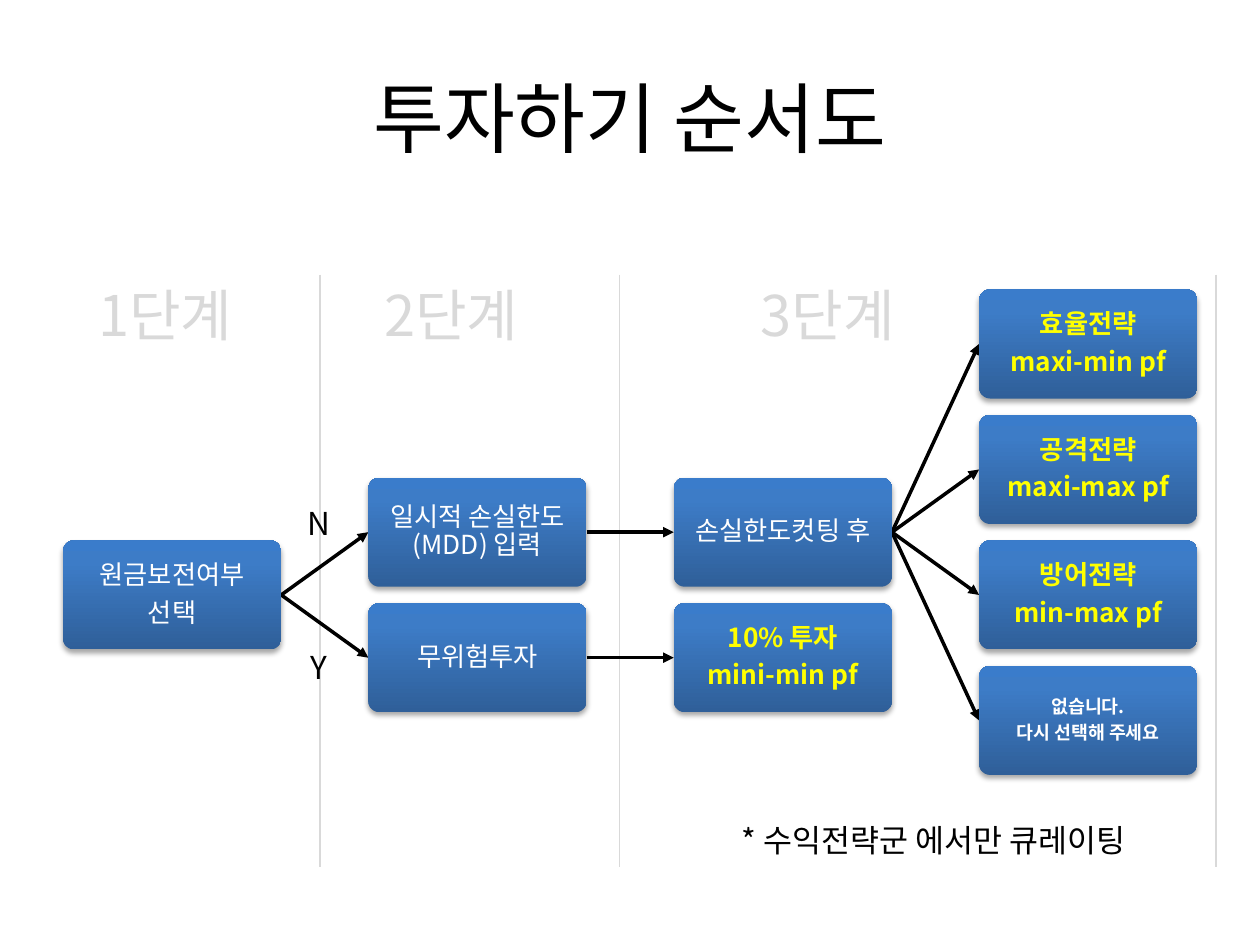
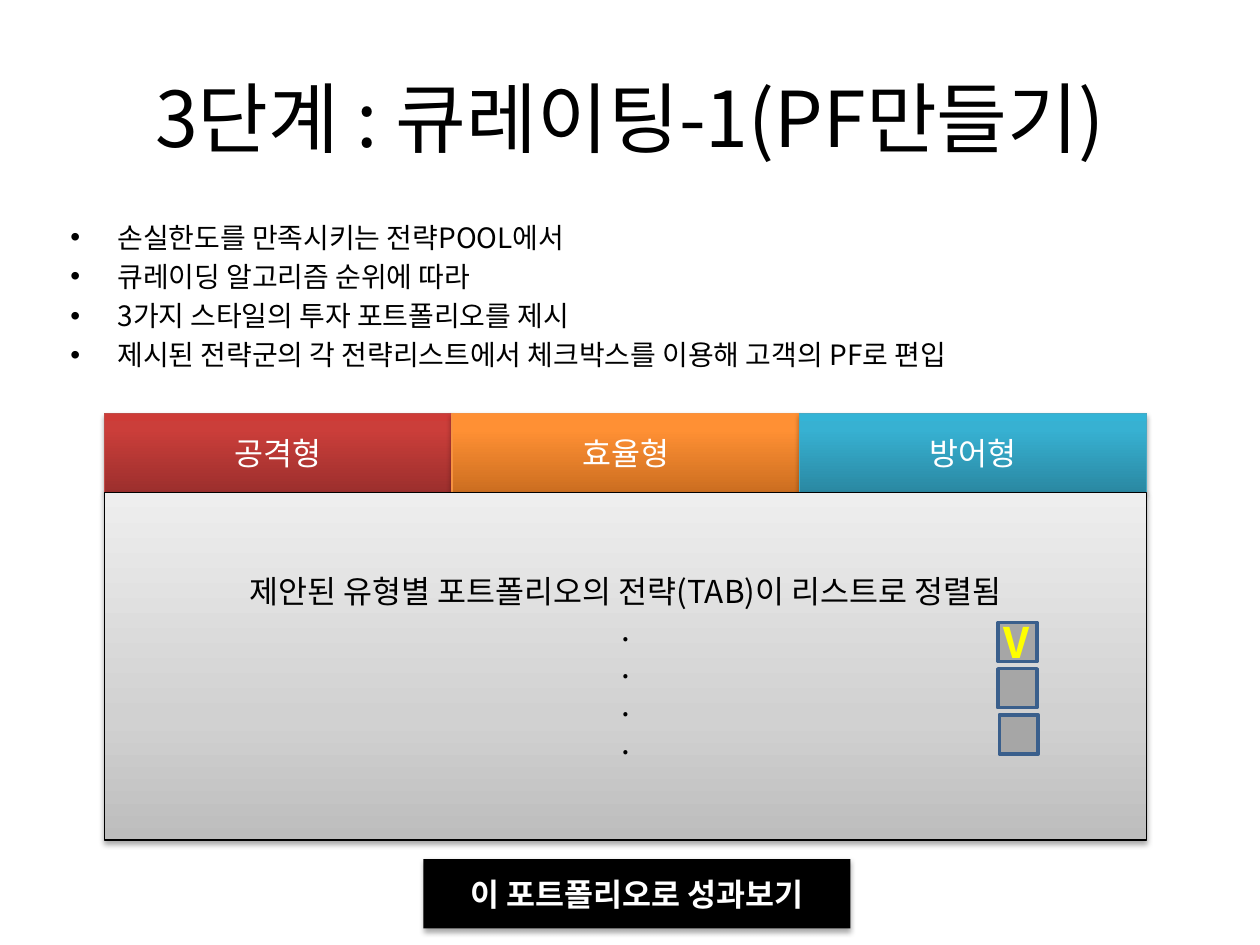
"""Builds two slides: an investment flowchart and a portfolio selection screen."""
import pptx
import pptx.dml.color
import pptx.enum.shapes
import pptx.enum.text
import pptx.oxml.ns
import pptx.oxml.xmlchemy
import pptx.util

Pt = pptx.util.Pt
qn = pptx.oxml.ns.qn
SHAPES = pptx.enum.shapes.MSO_SHAPE
ALIGN = pptx.enum.text.PP_ALIGN
ANCHOR = pptx.enum.text.MSO_ANCHOR

FONT = "Noto Sans CJK KR"
COLORS = {
    "black": "000000", "white": "FFFFFF", "yellow": "FFFF00",
    "pale": "D9D9D9", "check": "A6A6A6", "check_line": "3A5F8C",
    "red_line": "BF4C48", "orange_line": "F69240", "teal_line": "46AAC5",
}
GRADIENTS = {  # stops from bottom to top
    "blue": [(0, "2F5F99"), (80, "3D7CC7"), (100, "3A7CCB")],
    "red": [(0, "9C2F2D"), (80, "CB3E3A"), (100, "CE3B37")],
    "orange": [(0, "CC6E20"), (80, "FF9034"), (100, "FF9136")],
    "teal": [(0, "2A88A2"), (80, "37B1D2"), (100, "34B4D6")],
    "grey": [(0, "BDBDBD"), (35, "D1D1D1"), (100, "EEEEEE")],
}

# Flowchart grid
GRID_LEFT, GRID_TOP = 36, 165.4
COLUMN_STEP, ROW_STEP = 174.5, 71.7
BOX_WIDTH, BOX_HEIGHT = 124.7, 62.35


def rgb(name):
    """Return the named colour."""
    return pptx.dml.color.RGBColor.from_string(COLORS[name])


def add_xml(parent, tag, **attributes):
    """Append a drawing element to parent and return it."""
    element = pptx.oxml.xmlchemy.OxmlElement(tag)
    for key, value in attributes.items():
        element.set(key, str(value))
    parent.append(element)
    return element


def set_percent_spacing(paragraph, side, percent):
    """Set the space before or after a paragraph as a share of the line."""
    setattr(paragraph, "space_" + side, Pt(0))
    tag = {"before": "a:spcBef", "after": "a:spcAft"}[side]
    spacing = paragraph._p.pPr.find(qn(tag))
    spacing.remove(spacing[0])
    add_xml(spacing, "a:spcPct", val=percent * 1000)


def set_bullet(paragraph, indent):
    """Give a paragraph a round bullet with a hanging indent."""
    properties = paragraph._p.get_or_add_pPr()
    properties.set("marL", str(Pt(indent)))
    properties.set("indent", str(-Pt(indent)))
    add_xml(properties, "a:buFont", typeface="Arial")
    add_xml(properties, "a:buChar", char="•")


def write(shape, lines, size, color="black", bold=False,
          align=ALIGN.LEFT, anchor=ANCHOR.TOP, **frame_format):
    """Write lines into a shape, one paragraph each, and return the paragraphs."""
    frame = shape.text_frame
    frame_format.update(word_wrap=True, vertical_anchor=anchor)
    for key, value in frame_format.items():
        setattr(frame, key, value)
    frame.text = "\n".join(lines)
    for paragraph in frame.paragraphs:
        paragraph.alignment = align
        run = paragraph.runs[0]
        for key, value in {"name": FONT, "size": Pt(size), "bold": bold}.items():
            setattr(run.font, key, value)
        run.font.color.rgb = rgb(color)
        add_xml(run._r.get_or_add_rPr(), "a:ea", typeface=FONT)
    return frame.paragraphs


def add_text(slide, box, lines, size, **text_format):
    """Add a text box."""
    shape = slide.shapes.add_textbox(*map(Pt, box))
    return write(shape, lines, size, **text_format)


def add_title(slide, text):
    """Add the slide title."""
    add_text(slide, (36, 21.6, 648, 90), [text], 44,
             align=ALIGN.CENTER, anchor=ANCHOR.MIDDLE)


def add_box(slide, box, fill, line=None, line_width=0.75,
            kind=SHAPES.RECTANGLE, shadow=True):
    """Add a shape with a plain or gradient fill and a soft shadow."""
    shape = slide.shapes.add_shape(kind, *map(Pt, box))
    properties = shape._element.spPr
    if fill in GRADIENTS:
        shape.fill.gradient()
        shape.fill.gradient_angle = 90
        stops = properties.find(".//" + qn("a:gsLst"))
        for stop in list(stops):
            stops.remove(stop)
        for position, color in GRADIENTS[fill]:
            stop = add_xml(stops, "a:gs", pos=position * 1000)
            add_xml(stop, "a:srgbClr", val=color)
    else:
        shape.fill.solid()
        shape.fill.fore_color.rgb = rgb(fill)
    if line:
        shape.line.color.rgb = rgb(line)
        shape.line.width = Pt(line_width)
    else:
        shape.line.fill.background()
    shape.shadow.inherit = False
    if shadow:
        outer = add_xml(properties.find(qn("a:effectLst")), "a:outerShdw",
                        blurRad=Pt(3.1), dist=Pt(1.8), dir=5400000, rotWithShape=0)
        color = add_xml(outer, "a:srgbClr", val=COLORS["black"])
        add_xml(color, "a:alpha", val=35000)
    return shape


def add_line(slide, start, end, color, width, arrow=False):
    """Add a straight line, with an arrowhead at its end if asked."""
    connector = slide.shapes.add_connector(
        pptx.enum.shapes.MSO_CONNECTOR.STRAIGHT, *map(Pt, (*start, *end)))
    connector.line.color.rgb = rgb(color)
    connector.line.width = Pt(width)
    if arrow:
        add_xml(connector.get_or_add_ln(), "a:tailEnd", type="triangle")
    add_xml(connector._element.spPr, "a:effectLst")


def grid_corner(cell):
    """Return the left and top of a flowchart cell (column, row)."""
    column, row = cell
    return GRID_LEFT + column * COLUMN_STEP, GRID_TOP + row * ROW_STEP


def add_node(slide, cell, lines, color="white", size=15, bold=False):
    """Add a flowchart node."""
    shape = add_box(slide, (*grid_corner(cell), BOX_WIDTH, BOX_HEIGHT), "blue",
                    kind=SHAPES.ROUNDED_RECTANGLE)
    shape.adjustments[0] = 0.1
    margins = {"margin_" + side: Pt(0.72) for side in ("left", "right", "top", "bottom")}
    for paragraph in write(shape, lines, size, color, bold, ALIGN.CENTER,
                           ANCHOR.MIDDLE, **margins):
        paragraph.line_spacing = 0.9
        set_percent_spacing(paragraph, "after", 35)


def add_arrow(slide, source, target):
    """Join the right side of one node to the left side of another."""
    left, top = grid_corner(source)
    end, end_top = grid_corner(target)
    add_line(slide, (left + BOX_WIDTH, top + BOX_HEIGHT / 2),
             (end, end_top + BOX_HEIGHT / 2), "black", 2, arrow=True)


def build_flowchart(slide):
    """Draw the investment flowchart in three steps."""
    for x in (182.9, 354.2, 694.8):
        add_line(slide, (x, 157), (x, 495.4), "pale", 0.75)
    add_title(slide, "투자하기 순서도")

    start, limit, safe = (0, 2), (1, 1.5), (1, 2.5)
    cut, invest = (2, 1.5), (2, 2.5)
    results = [(3, row) for row in range(4)]
    arrows = [(start, limit), (start, safe), (limit, cut), (safe, invest)]
    for source, target in arrows + [(cut, result) for result in results]:
        add_arrow(slide, source, target)

    add_node(slide, start, ["원금보전여부", "선택"])
    add_node(slide, limit, ["일시적 손실한도(MDD) 입력"])
    add_node(slide, cut, ["손실한도컷팅 후"])
    add_node(slide, safe, ["무위험투자"])
    strategies = [
        (invest, "10% 투자", "mini-min pf"),
        (results[0], "효율전략", "maxi-min pf"),
        (results[1], "공격전략", "maxi-max pf"),
        (results[2], "방어전략", "min-max pf"),
    ]
    for cell, *lines in strategies:
        add_node(slide, cell, lines, "yellow", bold=True)
    add_node(slide, results[3], ["없습니다.", "다시 선택해 주세요"], size=10.5, bold=True)

    add_text(slide, (416.9, 465.8, 266.4, 28.8), ["* 수익전략군 에서만 큐레이팅"], 18)
    add_text(slide, (168.5, 284.4, 28.1, 28.8), ["N"], 18)
    add_text(slide, (170.6, 366.5, 24.5, 28.8), ["Y"], 18)
    for step, x in enumerate((49, 212.4, 427.7), 1):
        add_text(slide, (x, 157, 97.2, 46), [f"{step}단계"], 32, color="pale")


def build_selection(slide):
    """Draw the portfolio selection screen."""
    add_title(slide, "3단계 : 큐레이팅-1(PF만들기)")
    bullets = [
        "손실한도를 만족시키는 전략POOL에서",
        "큐레이딩 알고리즘 순위에 따라",
        "3가지 스타일의 투자 포트폴리오를 제시",
        "제시된 전략군의 각 전략리스트에서 체크박스를 이용해 고객의 PF로 편입",
    ]
    for paragraph in add_text(slide, (33.1, 122.4, 648, 356.4), bullets, 16):
        set_percent_spacing(paragraph, "before", 20)
        set_bullet(paragraph, 27)

    centered = {"align": ALIGN.CENTER, "anchor": ANCHOR.MIDDLE}
    left, top, tab_width, tab_height = 59.8, 236.2, 198.5, 45.2
    tabs = [("공격형", "red"), ("효율형", "orange"), ("방어형", "teal")]
    for index, (label, color) in enumerate(tabs):
        tab = add_box(slide, (left + index * tab_width, top, tab_width, tab_height),
                      color, color + "_line")
        write(tab, [label], 18, "white", **centered)
    panel = add_box(slide, (left, top + tab_height, len(tabs) * tab_width, 198.7),
                    "grey", "black")
    write(panel, ["제안된 유형별 포트폴리오의 전략(TAB)이 리스트로 정렬됨"] + ["."] * 4,
          18, **centered)

    for index, x in enumerate((570.2, 570.2, 571)):
        add_box(slide, (x, 355.7 + index * 26.4, 22.3, 22.3), "check", "check_line", 2,
                shadow=False)
    add_text(slide, (566.6, 348.5, 31, 36), ["V"], 24, color="yellow", bold=True)

    button = add_box(slide, (242, 491, 244, 39.6), "black")
    write(button, ["이 포트폴리오로 성과보기"], 18, "white", True, **centered)


def main():
    """Build and save the presentation."""
    presentation = pptx.Presentation()
    presentation.slide_width, presentation.slide_height = Pt(720), Pt(540)
    for build in (build_flowchart, build_selection):
        build(presentation.slides.add_slide(presentation.slide_layouts[6]))
    presentation.save("out.pptx")


main()
